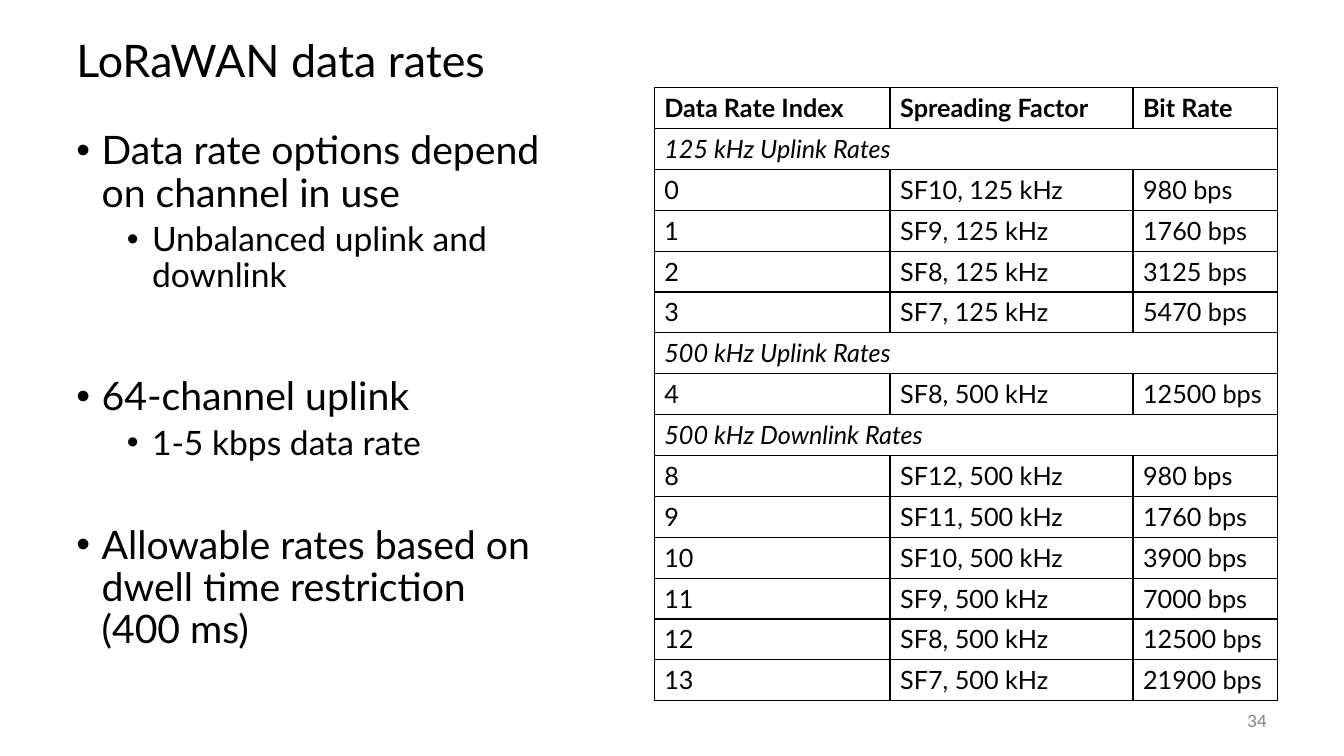
from lxml import etree
from pptx import Presentation
from pptx import util as u
from pptx.dml.color import RGBColor
from pptx.enum import text
from pptx.oxml.ns import qn

TITLE = "LoRaWAN data rates"
PAGE_NUMBER = "34"
BULLETS = [
    (0, 0, "Data rate options depend on channel in use"),
    (1, 5, "Unbalanced uplink and downlink"),
    (0, 58.24, "64-channel uplink"),
    (1, 5, "1-5 kbps data rate"),
    (0, 44.92, "Allowable rates based on dwell time restriction\v(400 ms)"),
]
HEADER = ("Data Rate Index", "Spreading Factor", "Bit Rate")
RATE_GROUPS = [
    ("125 kHz Uplink Rates", [
        ("0", "SF10, 125 kHz", "980 bps"),
        ("1", "SF9, 125 kHz", "1760 bps"),
        ("2", "SF8, 125 kHz", "3125 bps"),
        ("3", "SF7, 125 kHz", "5470 bps"),
    ]),
    ("500 kHz Uplink Rates", [
        ("4", "SF8, 500 kHz", "12500 bps"),
    ]),
    ("500 kHz Downlink Rates", [
        ("8", "SF12, 500 kHz", "980 bps"),
        ("9", "SF11, 500 kHz", "1760 bps"),
        ("10", "SF10, 500 kHz", "3900 bps"),
        ("11", "SF9, 500 kHz", "7000 bps"),
        ("12", "SF8, 500 kHz", "12500 bps"),
        ("13", "SF7, 500 kHz", "21900 bps"),
    ]),
]
COLUMN_WIDTHS = (168.5, 173.5, 103)
ROW_HEIGHT = 29.2
BORDER_WIDTH = 1
LINE_SPACING = 0.9
BULLET_INDENTS = (18, 54)
BULLET_HANG = 18
THEME = {
    "font": "Lato", "ink": "000000", "muted": "808080",
    "title": 32, "bullets": (28, 24), "table": 18, "number": 12,
}


def style(para, size, color="ink", bold=False, italic=False):
    for span in para.runs:
        font = span.font
        font.name = THEME["font"]
        font.size = u.Pt(size)
        font.bold = bold
        font.italic = italic
        font.color.rgb = RGBColor.from_string(THEME[color])


def add_box(page, left, top, width, height, anchor):
    box = page.shapes.add_textbox(u.Pt(left), u.Pt(top), u.Pt(width), u.Pt(height))
    frame = box.text_frame
    frame.word_wrap = True
    frame.vertical_anchor = anchor
    return frame


def add_title(page):
    frame = add_box(page, 47.5, 18, 864, 54, text.MSO_ANCHOR.MIDDLE)
    frame.text = TITLE
    para = frame.paragraphs[0]
    para.line_spacing = LINE_SPACING
    style(para, THEME["title"])


def add_bullets(page):
    frame = add_box(page, 47.5, 90, 377.5, 396, text.MSO_ANCHOR.TOP)
    for index, (level, gap, wording) in enumerate(BULLETS):
        para = frame.add_paragraph() if index else frame.paragraphs[0]
        para.text = wording
        para.level = level
        para.line_spacing = LINE_SPACING
        para.space_before = u.Pt(gap)
        props = para._p.get_or_add_pPr()
        props.set("marL", str(u.Pt(BULLET_INDENTS[level])))
        props.set("indent", str(-u.Pt(BULLET_HANG)))
        etree.SubElement(props, qn("a:buFont"), typeface="Arial")
        etree.SubElement(props, qn("a:buChar"), char="•")
        style(para, THEME["bullets"][level])


def outline(cell):
    props = cell._tc.get_or_add_tcPr()
    for side in ("a:lnL", "a:lnR", "a:lnT", "a:lnB"):
        line = etree.SubElement(props, qn(side), w=str(u.Pt(BORDER_WIDTH)))
        fill = etree.SubElement(line, qn("a:solidFill"))
        etree.SubElement(fill, qn("a:srgbClr"), val=THEME["ink"])


def add_rates(page):
    rows = [HEADER]
    for heading, rates in RATE_GROUPS:
        rows += [(heading,), *rates]
    frame = page.shapes.add_table(
        len(rows), len(HEADER), u.Pt(467.3), u.Pt(62.6),
        u.Pt(sum(COLUMN_WIDTHS)), u.Pt(ROW_HEIGHT * len(rows)))
    table = frame.table
    table.first_row = table.horz_banding = False
    for column, width in zip(table.columns, COLUMN_WIDTHS):
        column.width = u.Pt(width)
    for index, values in enumerate(rows):
        table.rows[index].height = u.Pt(ROW_HEIGHT)
        for cell in table.rows[index].cells:
            outline(cell)
            cell.fill.background()
        is_heading = len(values) == 1
        if is_heading:
            table.cell(index, 0).merge(table.cell(index, len(HEADER) - 1))
        for column, value in enumerate(values):
            cell = table.cell(index, column)
            cell.text_frame.text = value
            style(cell.text_frame.paragraphs[0], THEME["table"],
                  bold=index == 0, italic=is_heading)


def add_page_number(page):
    frame = add_box(page, 840, 500.4, 72, 28.8, text.MSO_ANCHOR.MIDDLE)
    frame.text = PAGE_NUMBER
    para = frame.paragraphs[0]
    para.alignment = text.PP_ALIGN.RIGHT
    style(para, THEME["number"], "muted")


def main():
    deck = Presentation()
    deck.slide_width, deck.slide_height = u.Pt(960), u.Pt(540)
    page = deck.slides.add_slide(deck.slide_layouts[6])
    add_title(page)
    add_rates(page)
    add_page_number(page)
    add_bullets(page)
    deck.save("out.pptx")


if __name__ == "__main__":
    main()
